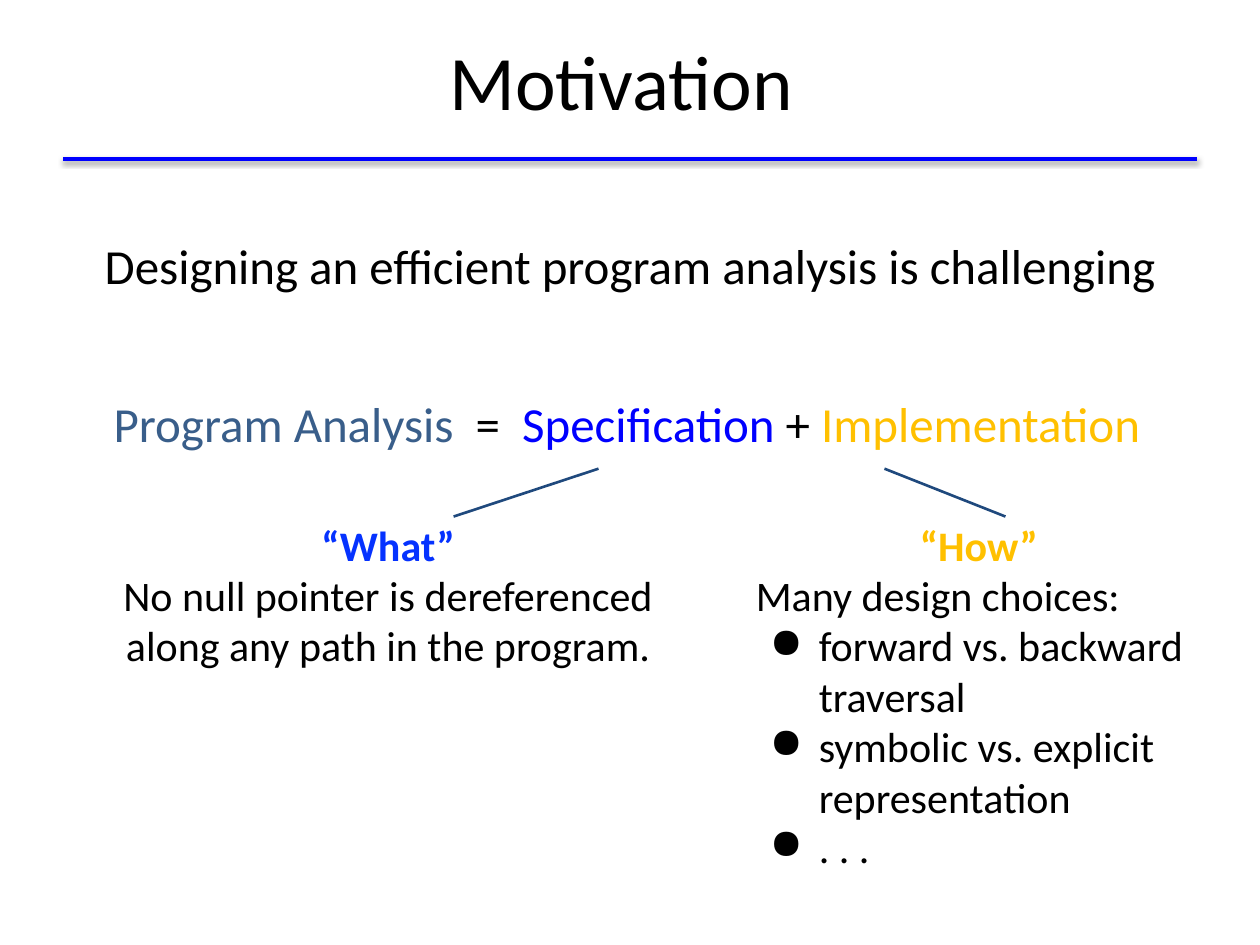
from dataclasses import dataclass

from lxml import etree
from pptx import Presentation
from pptx.dml.color import RGBColor
from pptx.enum.shapes import MSO_CONNECTOR
from pptx.enum.text import MSO_ANCHOR, PP_ALIGN
from pptx.oxml.ns import qn
from pptx.util import Inches, Pt

STRAIGHT = MSO_CONNECTOR.STRAIGHT
MIDDLE = MSO_ANCHOR.MIDDLE
TOP = MSO_ANCHOR.TOP
CENTER = PP_ALIGN.CENTER
LEFT = PP_ALIGN.LEFT
TITLE_ONLY = 5


@dataclass(frozen=True)
class Theme:
    font: str = "Calibri"
    ink: str = "000000"
    rule: str = "0000FF"
    branch: str = "1F497D"
    analysis: str = "395E8A"
    what: str = "0532FF"
    how: str = "FFC000"
    title_size: int = 44
    lead_size: int = 28
    body_size: int = 24


class SlideBuilder:
    def __init__(self, deck, theme):
        self.theme = theme
        self.slide = deck.slides.add_slide(deck.slide_layouts[TITLE_ONLY])

    def style(self, paragraph, size, color=None, bold=False, align=LEFT):
        paragraph.alignment = align
        font = paragraph.font
        font.name = self.theme.font
        font.size = Pt(size)
        font.bold = bold
        font.color.rgb = RGBColor.from_string(color or self.theme.ink)

    def place(self, box, left, top, width, height):
        box.left, box.top = Inches(left), Inches(top)
        box.width, box.height = Inches(width), Inches(height)

    def title(self, text, *area):
        box = self.slide.shapes.title
        self.place(box, *area)
        frame = box.text_frame
        frame.vertical_anchor = MIDDLE
        frame.text = text
        self.style(frame.paragraphs[0], self.theme.title_size, align=CENTER)

    def text_box(self, *area, inset=0.1):
        box = self.slide.shapes.add_textbox(*map(Inches, area))
        frame = box.text_frame
        frame.word_wrap = True
        frame.vertical_anchor = TOP
        frame.margin_left = frame.margin_right = Inches(0.1)
        frame.margin_top = frame.margin_bottom = Inches(inset)
        return frame

    def paragraph(self, frame, text, size, **look):
        first = frame.paragraphs[0]
        para = first if not first.text and not first.runs else frame.add_paragraph()
        para.text = text
        self.style(para, size, **look)
        return para

    def bullet(self, frame, text):
        para = self.paragraph(frame, text, self.theme.body_size)
        properties = para._p.get_or_add_pPr()
        properties.set("marL", str(Inches(0.5)))
        properties.set("indent", str(Inches(-0.39)))
        color = etree.Element(qn("a:buClr"))
        etree.SubElement(color, qn("a:srgbClr"), val=self.theme.ink)
        mark = etree.Element(qn("a:buChar"), char="●")
        properties.insert(0, color)
        properties.insert(1, mark)

    def equation(self, frame, spans):
        para = frame.paragraphs[0]
        self.style(para, self.theme.lead_size, align=CENTER)
        for text, color in spans:
            span = para.add_run()
            span.text = text
            span.font.color.rgb = RGBColor.from_string(color)

    def line(self, start, end, color, width, shadow=False):
        connector = self.slide.shapes.add_connector(
            STRAIGHT, *map(Inches, (*start, *end)))
        connector.line.color.rgb = RGBColor.from_string(color)
        connector.line.width = Pt(width)
        effects = etree.SubElement(connector._element.spPr, qn("a:effectLst"))
        if shadow:
            outer = etree.SubElement(
                effects, qn("a:outerShdw"), blurRad=str(Pt(3.1)),
                dist=str(Pt(1.6)), dir="5400000", rotWithShape="0")
            tint = etree.SubElement(outer, qn("a:srgbClr"), val=self.theme.ink)
            etree.SubElement(tint, qn("a:alpha"), val="38000")


def main():
    deck = Presentation()
    deck.slide_width, deck.slide_height = Inches(10), Inches(7.5)
    theme = Theme()
    page = SlideBuilder(deck, theme)

    page.line((0.5, 1.26), (9.5, 1.26), theme.rule, 2, shadow=True)
    page.title("Motivation ", 0.5, 0.01, 9, 1.25)

    lead = page.text_box(0.5, 1.75, 9, 0.7, inset=0.05)
    para = page.paragraph(
        lead, "Designing an efficient program analysis is challenging",
        theme.lead_size, align=CENTER)
    para.line_spacing = 1.15
    para.space_before = Pt(5.9)

    page.equation(page.text_box(0.73, 3.02, 8.49, 0.67), [
        ("Program Analysis  ", theme.analysis),
        ("=  ", theme.ink),
        ("Specification", theme.rule),
        (" + ", theme.ink),
        ("Implementation", theme.how),
    ])
    for top_x, bottom_x in ((4.75, 3.6), (7.02, 7.98)):
        page.line((top_x, 3.72), (bottom_x, 4.1), theme.branch, 1.5)

    what = page.text_box(0.59, 4.02, 4.98, 1.45)
    how = page.text_box(5.9, 4.02, 3.74, 3.01)
    for frame, heading, color, text, align in (
        (what, "“What”", theme.what,
         "No null pointer is dereferenced\nalong any path in the program.", CENTER),
        (how, "“How”", theme.how, "Many design choices:", LEFT),
    ):
        page.paragraph(frame, heading, theme.body_size,
                       color=color, bold=True, align=CENTER)
        page.paragraph(frame, text, theme.body_size, align=align)
    for choice in ("forward vs. backward traversal",
                   "symbolic vs. explicit representation", ". . ."):
        page.bullet(how, choice)

    deck.save("out.pptx")


main()
